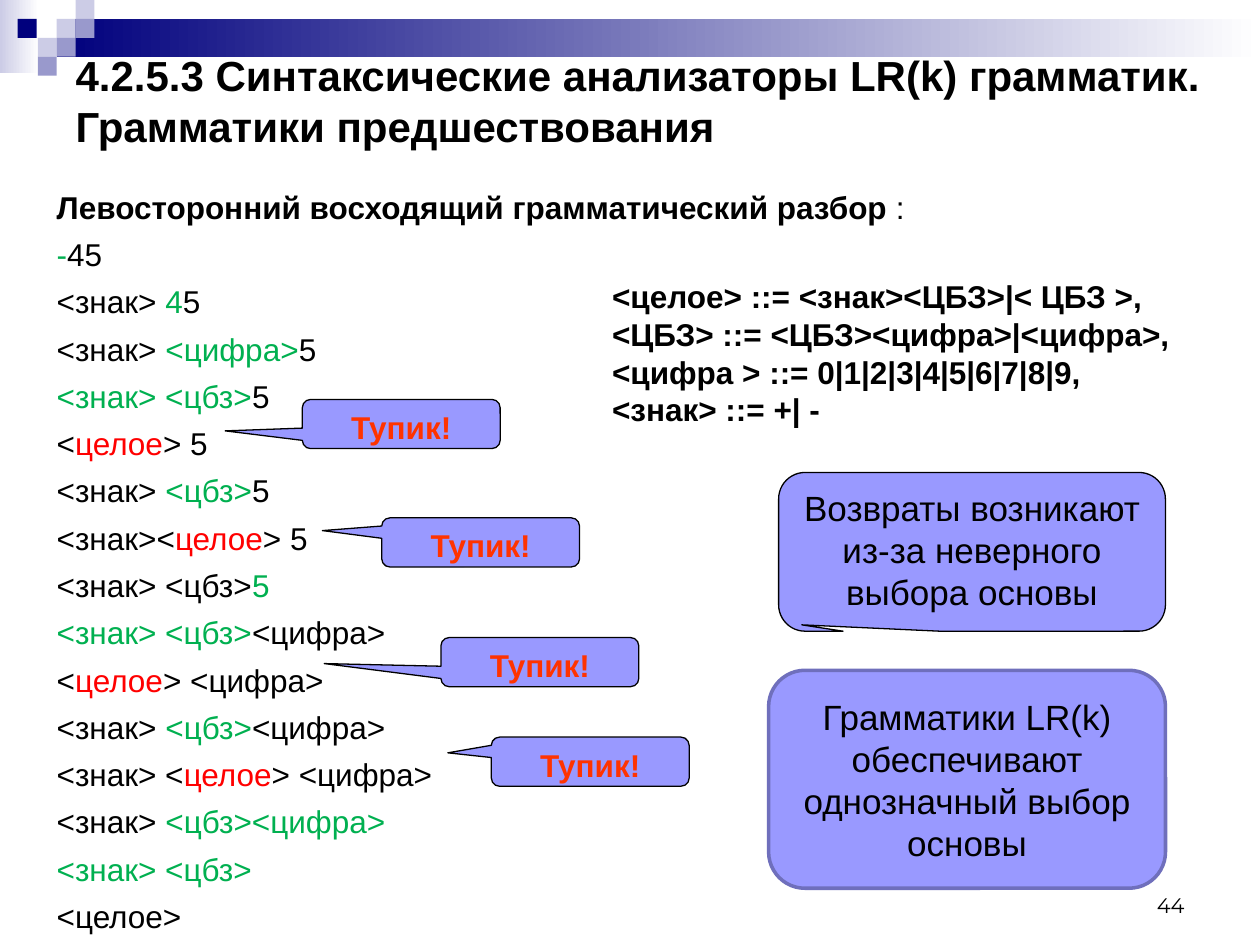
from dataclasses import dataclass
from typing import NamedTuple

import pptx
import pptx.dml.color
import pptx.enum.shapes
import pptx.enum.text
import pptx.util
from lxml import etree

Inches = pptx.util.Inches
Align = pptx.enum.text.PP_ALIGN
Anchor = pptx.enum.text.MSO_ANCHOR
Preset = pptx.enum.shapes.MSO_SHAPE


@dataclass(frozen=True)
class Theme:
    font: str = "Arial"
    number_font: str = "Montserrat"
    ink: str = "000000"
    reduced: str = "00B050"
    wrong: str = "FF0000"
    alarm: str = "FF3300"
    bubble: str = "9999FF"
    bubble_edge: str = "6F6FBC"
    navy: str = "00007D"
    mid: str = "9999CC"
    pale: str = "CCCCE6"
    white: str = "FFFFFF"
    title_size: int = 24
    note_size: int = 20
    text_size: int = 18
    number_size: int = 12


THEME = Theme()


class Box(NamedTuple):
    left: float
    top: float
    width: float
    height: float

    def lengths(self):
        return [Inches(value) for value in self]


class Span(NamedTuple):
    text: str
    color: str = THEME.ink
    bold: bool = False


class Tile(NamedTuple):
    box: Box
    color: str
    fades: bool = False


class Callout(NamedTuple):
    box: Box
    tail: tuple[float, float]
    span: Span
    size: int
    edge: str = THEME.ink
    edge_width: float = 0.75
    anchor: Anchor = Anchor.TOP


def reduced(text: str) -> Span:
    return Span(text, THEME.reduced)


def wrong(text: str) -> Span:
    return Span(text, THEME.wrong)


def square(left: float, top: float, color: str) -> Tile:
    return Tile(Box(left, top, 0.15, 0.15), color)


def dead_end(left: float, top: float, tail: tuple[float, float]) -> Callout:
    return Callout(Box(left, top, 1.57, 0.39), tail,
                   Span("Тупик!", THEME.alarm, True), THEME.text_size)


TILES = [
    Tile(Box(0, 0, 0.31, 0.58), THEME.pale, True),
    Tile(Box(0.45, 0.15, 9.55, 0.3), THEME.navy, True),
    square(0.45, 0.15, THEME.pale),
    square(0.6, 0, THEME.pale),
    square(0.6, 0.15, THEME.mid),
    square(0.3, 0.3, THEME.pale),
    square(0.14, 0.15, THEME.navy),
    square(0.45, 0.3, THEME.mid),
    square(0.3, 0.45, THEME.mid),
]

HEADING = "4.2.5.3 Синтаксические анализаторы LR(k) грамматик. \vГрамматики предшествования"

DERIVATION = [
    [Span("Левосторонний восходящий грамматический разбор ", bold=True), Span(":")],
    [reduced("-"), Span("45")],
    [Span("<знак> "), reduced("4"), Span("5")],
    [Span("<знак> "), reduced("<цифра>"), Span("5")],
    [reduced("<знак> <цбз>"), Span("5")],
    [Span("<"), wrong("целое"), Span("> 5")],
    [Span("<знак> "), reduced("<цбз>"), Span("5")],
    [Span("<знак><"), wrong("целое"), Span("> 5")],
    [Span("<знак> <цбз>"), reduced("5")],
    [reduced("<знак> <цбз>"), Span("<цифра>")],
    [Span("<"), wrong("целое"), Span("> <цифра>")],
    [Span("<знак> "), reduced("<цбз>"), Span("<цифра>")],
    [Span("<знак> <"), wrong("целое"), Span("> <цифра>")],
    [Span("<знак> "), reduced("<цбз><цифра>")],
    [reduced("<знак> <цбз>")],
    [Span("<целое>")],
]

GRAMMAR = [
    "<целое> ::= <знак><ЦБЗ>|< ЦБЗ >,",
    "<ЦБЗ> ::= <ЦБЗ><цифра>|<цифра>,",
    "<цифра > ::= 0|1|2|3|4|5|6|7|8|9,",
    "<знак> ::= +| -",
]

CALLOUTS = [
    dead_end(2.4, 3.17, (-0.89, 0.14)),
    dead_end(3.03, 4.11, (-0.8, -0.24)),
    dead_end(3.5, 5.06, (-1.09, 0.03)),
    dead_end(3.9, 5.85, (-0.72, -0.18)),
    Callout(Box(6.18, 3.75, 3.07, 1.26), (-0.44, 0.46),
            Span("Возвраты возникают из-за неверного выбора основы"), THEME.note_size),
    Callout(Box(6.1, 5.32, 3.15, 1.73), (-0.27, 0.5),
            Span("Грамматики LR(k) обеспечивают однозначный выбор основы"),
            THEME.note_size, THEME.bubble_edge, 2, Anchor.MIDDLE),
]


def rgb(color: str) -> pptx.dml.color.RGBColor:
    return pptx.dml.color.RGBColor.from_string(color)


def write(frame, lines: list[list[Span]], *, size: int, font: str = THEME.font,
          align: Align = Align.LEFT, anchor: Anchor = Anchor.TOP,
          space_before: float = 0, hanging: float | None = None) -> None:
    frame.word_wrap = True
    frame.auto_size = pptx.enum.text.MSO_AUTO_SIZE.NONE
    frame.vertical_anchor = anchor
    for row, spans in enumerate(lines):
        paragraph = frame.add_paragraph() if row else frame.paragraphs[0]
        paragraph.alignment = align
        paragraph.space_before = pptx.util.Pt(space_before)
        if hanging is not None:
            properties = paragraph._p.get_or_add_pPr()
            properties.set("marL", str(Inches(hanging)))
            properties.set("indent", str(-Inches(hanging)))
            etree.SubElement(properties, pptx.oxml.ns.qn("a:buNone"))
        for span in spans:
            for part, text in enumerate(span.text.split("\v")):
                if part:
                    paragraph.add_line_break()
                run = paragraph.add_run()
                run.text = text
                run.font.name = font
                run.font.size = pptx.util.Pt(size)
                run.font.bold = span.bold
                run.font.color.rgb = rgb(span.color)


def draw_tile(slide, tile: Tile) -> None:
    panel = slide.shapes.add_shape(Preset.RECTANGLE, *tile.box.lengths())
    panel.shadow.inherit = False
    panel.line.fill.background()
    if tile.fades:
        panel.fill.gradient()
        panel.fill.gradient_angle = 0
        for stop, color in zip(panel.fill.gradient_stops, (tile.color, THEME.white)):
            stop.color.rgb = rgb(color)
    else:
        panel.fill.solid()
        panel.fill.fore_color.rgb = rgb(tile.color)


def draw_callout(slide, callout: Callout) -> None:
    bubble = slide.shapes.add_shape(Preset.ROUNDED_RECTANGULAR_CALLOUT, *callout.box.lengths())
    bubble.shadow.inherit = False
    bubble.adjustments[0], bubble.adjustments[1] = callout.tail
    bubble.fill.solid()
    bubble.fill.fore_color.rgb = rgb(THEME.bubble)
    bubble.line.color.rgb = rgb(callout.edge)
    bubble.line.width = pptx.util.Pt(callout.edge_width)
    write(bubble.text_frame, [[callout.span]], size=callout.size,
          align=Align.CENTER, anchor=callout.anchor)


def place(holder, box: Box):
    holder.left, holder.top, holder.width, holder.height = box.lengths()
    return holder.text_frame


def main() -> None:
    deck = pptx.Presentation()
    deck.slide_width, deck.slide_height = Inches(10), Inches(7.5)
    slide = deck.slides.add_slide(deck.slide_layouts[1])
    for tile in TILES:
        draw_tile(slide, tile)
    page_number = slide.shapes.add_textbox(*Box(7.17, 6.83, 2.33, 0.5).lengths())
    write(page_number.text_frame, [[Span("44")]], size=THEME.number_size,
          font=THEME.number_font, align=Align.RIGHT, anchor=Anchor.BOTTOM)
    write(place(slide.shapes.title, Box(0.5, 0.36, 9.5, 0.87)), [[Span(HEADING, bold=True)]],
          size=THEME.title_size, anchor=Anchor.MIDDLE)
    write(place(slide.placeholders[1], Box(0.35, 1.44, 9.37, 6.06)), DERIVATION,
          size=THEME.text_size, space_before=5.4, hanging=0.38)
    for callout in CALLOUTS:
        draw_callout(slide, callout)
    grammar = slide.shapes.add_textbox(*Box(4.76, 2.15, 4.8, 1.3).lengths())
    write(grammar.text_frame, [[Span(rule, bold=True)] for rule in GRAMMAR], size=THEME.text_size)
    deck.save("out.pptx")


if __name__ == "__main__":
    main()
